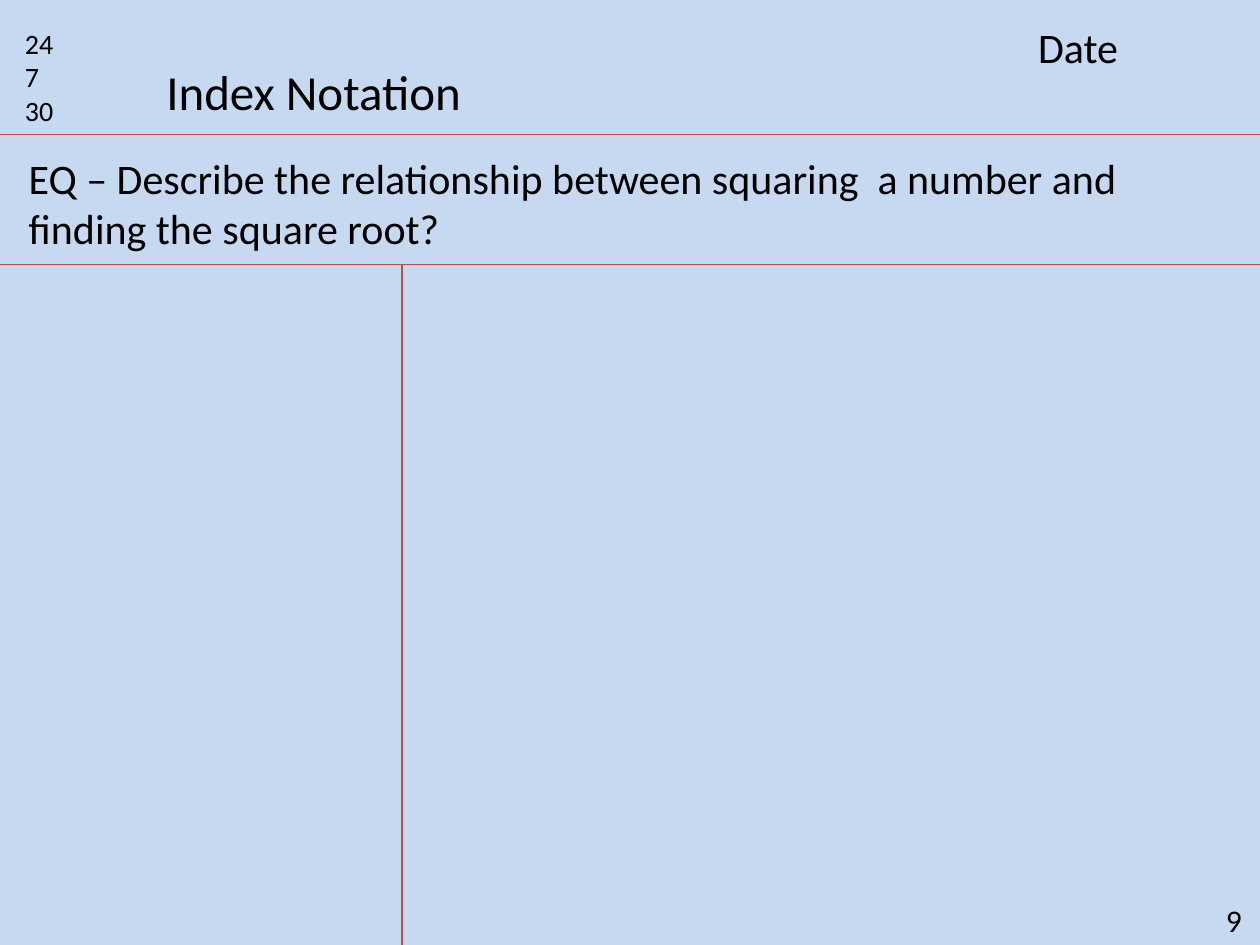
from lxml.etree import SubElement
from pptx import Presentation
from pptx.dml.color import RGBColor
from pptx.enum.shapes import MSO_CONNECTOR
from pptx.enum.text import MSO_ANCHOR, PP_ALIGN
from pptx.oxml.ns import qn
from pptx.util import Inches, Pt

BACKGROUND = RGBColor(0xC6, 0xD9, 0xF1)
RULE = RGBColor(0xBF, 0x4C, 0x48)
INK = RGBColor(0, 0, 0)
FONT = "Calibri"
WIDTH, HEIGHT = 10, 7.5
HEADER_BOTTOM, QUESTION_BOTTOM = 1.07, 2.1
MARGIN_X = 3.19


def write(box, text, size, wrap=True):
    frame = box.text_frame
    frame.text = text
    frame.word_wrap = wrap
    frame.vertical_anchor = MSO_ANCHOR.TOP
    for para in frame.paragraphs:
        para.alignment = PP_ALIGN.LEFT
        para.font.name = FONT
        para.font.size = Pt(size)
        para.font.color.rgb = INK


def add_text(slide, text, left, top, width, height, size):
    box = slide.shapes.add_textbox(
        Inches(left), Inches(top), Inches(width), Inches(height))
    write(box, text, size)
    return box


def set_title(slide, text, left, top, width, height, size):
    title = slide.shapes.title
    title.left, title.top = Inches(left), Inches(top)
    title.width, title.height = Inches(width), Inches(height)
    write(title, text, size, wrap=False)


def add_rule(slide, x1, y1, x2, y2):
    rule = slide.shapes.add_connector(
        MSO_CONNECTOR.STRAIGHT, Inches(x1), Inches(y1), Inches(x2), Inches(y2))
    rule.line.color.rgb = RULE
    rule.line.width = Pt(0.75)
    SubElement(rule._element.spPr, qn("a:effectLst"))


def main():
    deck = Presentation()
    deck.slide_width, deck.slide_height = Inches(WIDTH), Inches(HEIGHT)
    slide = deck.slides.add_slide(deck.slide_layouts[5])
    slide.background.fill.solid()
    slide.background.fill.fore_color.rgb = BACKGROUND

    # Page number
    number = add_text(slide, "9", 9.57, 7.1, 0.6, 0.4, 18)
    number.text_frame.margin_left = Inches(0.16)

    # Note-page rules
    for y in (HEADER_BOTTOM, QUESTION_BOTTOM):
        add_rule(slide, 0, y, WIDTH, y)
    add_rule(slide, MARGIN_X, QUESTION_BOTTOM, MARGIN_X, HEIGHT)

    # Header and essential question
    add_text(slide, "24\n7\n30", 0.1, 0.16, 0.63, 0.91, 16)
    set_title(slide, "Index Notation", 1.22, 0.44, 2.57, 0.57, 28)
    add_text(slide, "Date", 8.14, 0.12, 1.73, 0.5, 24)
    add_text(slide, "EQ – Describe the relationship between squaring  a number "
             "and finding the square root?", 0.13, 1.16, 9.43, 0.91, 24)

    deck.save("out.pptx")


if __name__ == "__main__":
    main()
